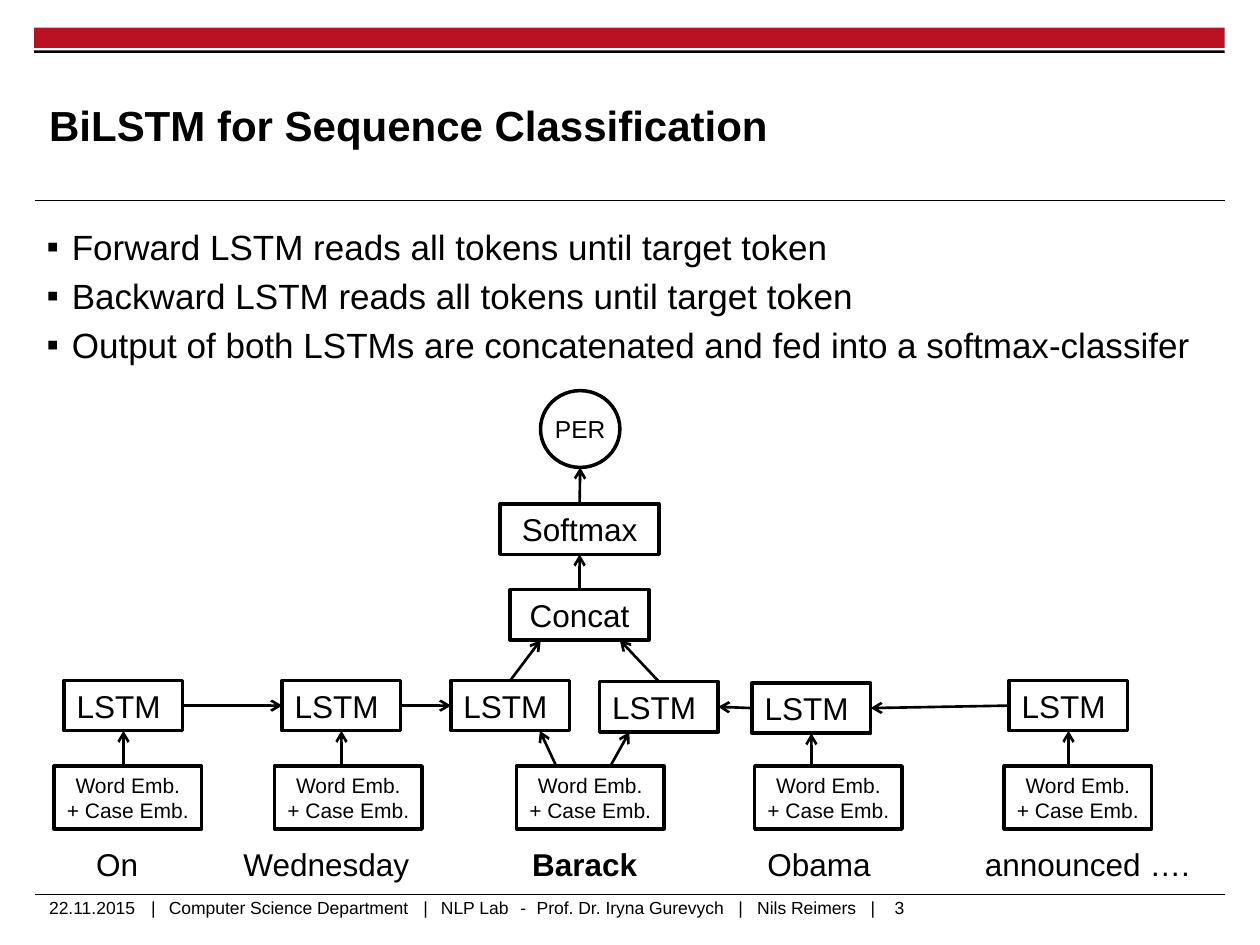
import pptx
import pptx.dml.color
import pptx.enum.shapes
import pptx.enum.text
import pptx.oxml.ns
import pptx.util
from lxml import etree

BLACK = pptx.dml.color.RGBColor(0x00, 0x00, 0x00)
WHITE = pptx.dml.color.RGBColor(0xFF, 0xFF, 0xFF)
RED = pptx.dml.color.RGBColor(0xB9, 0x10, 0x22)

SHAPE = pptx.enum.shapes.MSO_SHAPE
ALIGN = pptx.enum.text.PP_ALIGN
ANCHOR = pptx.enum.text.MSO_ANCHOR
FONT = "Arial"

# The slide is a grid of square cells; all positions are in columns and rows
COLUMNS, ROWS = 100, 75
CELL = pptx.util.Inches(0.1)

BULLETS = [
    "Forward LSTM reads all tokens until target token",
    "Backward LSTM reads all tokens until target token",
    "Output of both LSTMs are concatenated and fed into a softmax-classifer",
]
# Token, centre column of the word, left column of its embedding
TOKENS = [
    ("On", 9.3, 4.3),
    ("Wednesday", 25.9, 21.8),
    ("Barack", 46.4, 41),
    ("Obama", 65, 59.9),
    ("announced ….", 86.3, 79.7),
]
TARGET = "Barack"
# Left column and top row of each LSTM cell, in reading order
FORWARD_CELLS = [(5.1, 54), (22.4, 54), (35.8, 54)]
BACKWARD_CELLS = [(47.6, 54.1), (59.7, 54.2), (80.1, 54)]
# Footer pieces are separated by tabs; stops are in columns from the text's left
FOOTER = ("22.11.2015\t|\tComputer Science Department\t|\tNLP Lab\t-\t"
          "Prof. Dr. Iryna Gurevych\t|\tNils Reimers\t|\t3")
FOOTER_STOPS = [8.1, 9.5, 29.7, 31.1, 37.4, 38.7, 54.7, 56.2, 65.2, 67.1]


def cells(count):
    return round(count * CELL)


def place(shape, left, top, width, height):
    shape.left, shape.top = cells(left), cells(top)
    shape.width, shape.height = cells(width), cells(height)


def write(shape, text, size, bold=False, align=ALIGN.LEFT, side=0, anchor=ANCHOR.MIDDLE):
    frame = shape.text_frame
    frame.text = text
    frame.word_wrap = True
    frame.auto_size = pptx.enum.text.MSO_AUTO_SIZE.NONE
    frame.vertical_anchor = anchor
    frame.margin_left = frame.margin_right = cells(side)
    frame.margin_top = frame.margin_bottom = 0
    for paragraph in frame.paragraphs:
        paragraph.alignment = align
        for run in paragraph.runs:
            run.font.name, run.font.size = FONT, pptx.util.Pt(size)
            run.font.bold, run.font.color.rgb = bold, BLACK


def add_label(slide, area, text, size, **style):
    label = slide.shapes.add_textbox(*map(cells, area))
    write(label, text, size, **style)
    return label


def add_bar(slide, area, color):
    bar = slide.shapes.add_shape(SHAPE.RECTANGLE, *map(cells, area))
    bar.shadow.inherit = False
    bar.fill.solid()
    bar.fill.fore_color.rgb = color
    bar.line.fill.background()


def add_node(slide, area, text, size, kind=SHAPE.RECTANGLE, align=ALIGN.CENTER, side=0.5):
    node = slide.shapes.add_shape(kind, *map(cells, area))
    node.shadow.inherit = False
    node.fill.solid()
    node.fill.fore_color.rgb = WHITE
    node.line.color.rgb = BLACK
    node.line.width = pptx.util.Pt(2)
    write(node, text, size, align=align, side=side)
    return node


def add_line(slide, start, end, width, arrow=False):
    line = slide.shapes.add_connector(
        pptx.enum.shapes.MSO_CONNECTOR.STRAIGHT, *map(round, (*start, *end)))
    line.line.color.rgb = BLACK
    line.line.width = pptx.util.Pt(width)
    if arrow:
        etree.SubElement(line.line._get_or_add_ln(),
                         pptx.oxml.ns.qn("a:tailEnd"), type="arrow")
    etree.SubElement(line._element.spPr, pptx.oxml.ns.qn("a:effectLst"))


def add_arrow(slide, start, end):
    add_line(slide, start, end, 1.5, arrow=True)


def spot(node, across, down):
    """Point at the given shares of a node's width and height."""
    return node.left + across * node.width, node.top + down * node.height


def add_frame(slide):
    add_bar(slide, (2.7, 2.2, 94.5, 1.6), RED)
    add_bar(slide, (2.7, 4, 94.5, 0.2), BLACK)
    for row in (15.9, 71):
        add_line(slide, (cells(2.75), cells(row)), (cells(97.25), cells(row)), 0.6)
    footer = add_label(slide, (3.9, 71.2, 87, 2.5), FOOTER, 10, anchor=ANCHOR.TOP)
    properties = footer.text_frame.paragraphs[0]._p.get_or_add_pPr()
    stops = etree.SubElement(properties, pptx.oxml.ns.qn("a:tabLst"))
    for stop in FOOTER_STOPS:
        etree.SubElement(stops, pptx.oxml.ns.qn("a:tab"), pos=str(cells(stop)), algn="l")


def fill_placeholders(slide):
    title = slide.shapes.title
    place(title, 3.9, 5.3, 75.2, 9.2)
    write(title, "BiLSTM for Sequence Classification", 24, bold=True)

    points = slide.placeholders[1]
    place(points, 2.7, 17.4, 94.5, 11.6)
    write(points, "\n".join(BULLETS), 20, side=1, anchor=ANCHOR.TOP)
    points.text_frame.margin_top = cells(0.5)
    for paragraph in points.text_frame.paragraphs:
        properties = paragraph._p.get_or_add_pPr()
        properties.set("marL", str(cells(2)))
        properties.set("indent", str(cells(-2)))
        etree.SubElement(properties, pptx.oxml.ns.qn("a:buFont"), typeface=FONT)
        etree.SubElement(properties, pptx.oxml.ns.qn("a:buChar"), char="▪")


def add_network(slide):
    # LSTM cells, chained towards the target token from both sides
    forward, backward = [
        [add_node(slide, (left, top, 9.4, 4), "LSTM", 18, align=ALIGN.LEFT, side=1)
         for left, top in chain]
        for chain in (FORWARD_CELLS, BACKWARD_CELLS)]
    for earlier, later in zip(forward, forward[1:]):
        add_arrow(slide, spot(earlier, 1, 0.5), spot(later, 0, 0.5))
    for earlier, later in zip(backward, backward[1:]):
        add_arrow(slide, spot(later, 0, 0.5), spot(earlier, 1, 0.5))

    # Inputs: the target's embedding feeds both directions
    for cell in forward[:-1] + backward[1:]:
        column = spot(cell, 0.5, 1)[0]
        add_arrow(slide, (column, cells(65)), spot(cell, 0.5, 1))
    for cell, share in ((forward[-1], 0.75), (backward[0], 0.25)):
        add_arrow(slide, (cells(46.1), cells(65)), spot(cell, share, 1))
    for token, center, left in TOKENS:
        add_node(slide, (left, 60.8, 11.7, 5), "Word Emb.\n+ Case Emb.", 12)
        add_label(slide, (center - 10, 66.6, 20, 4), token, 18,
                  bold=token == TARGET, align=ALIGN.CENTER)

    # Output stack above the target token
    concat = add_node(slide, (40.5, 46.8, 11, 4), "Concat", 18)
    softmax = add_node(slide, (39.7, 40, 12.6, 4), "Softmax", 18)
    label = add_node(slide, (42.9, 31, 6.3, 6.1), "PER", 14, kind=SHAPE.OVAL, side=0)
    label.fill.background()
    for cell, share in ((forward[-1], 0.22), (backward[0], 0.79)):
        add_arrow(slide, spot(cell, 0.5, 0), spot(concat, share, 1))
    for lower, upper in ((concat, softmax), (softmax, label)):
        add_arrow(slide, spot(lower, 0.5, 0), spot(upper, 0.5, 1))


def main():
    deck = pptx.Presentation()
    deck.slide_width, deck.slide_height = cells(COLUMNS), cells(ROWS)
    slide = deck.slides.add_slide(deck.slide_layouts[1])
    add_frame(slide)
    fill_placeholders(slide)
    add_network(slide)
    deck.save("out.pptx")


if __name__ == "__main__":
    main()
